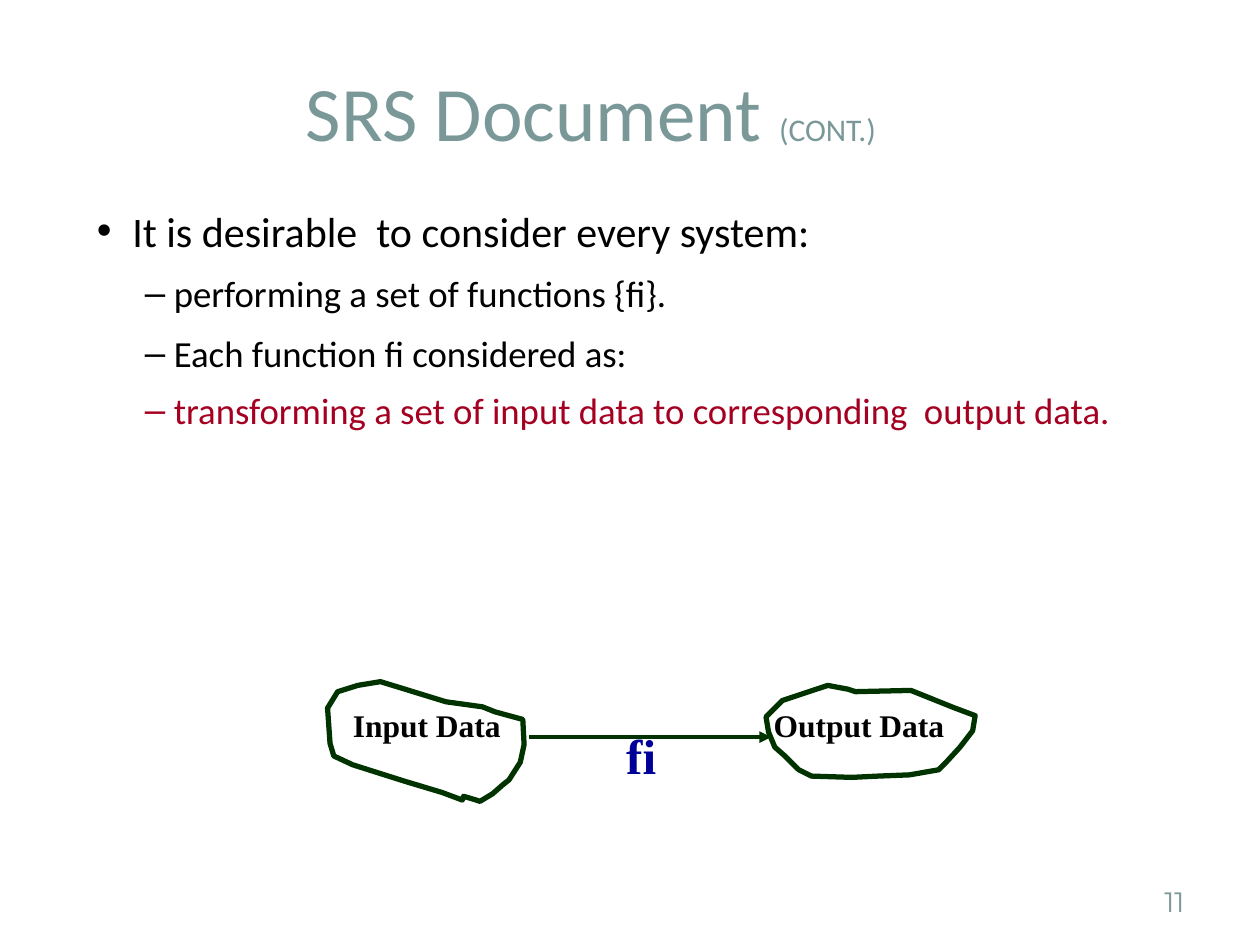
import pptx
import pptx.util
import pptx.dml.color
import pptx.enum.shapes
import pptx.enum.text
import pptx.oxml
import pptx.oxml.ns
import lxml.etree

Inches = pptx.util.Inches
Pt = pptx.util.Pt
ALIGN = pptx.enum.text.PP_ALIGN
ANCHOR = pptx.enum.text.MSO_ANCHOR
qn = pptx.oxml.ns.qn

TEAL, BLACK, RED, GREEN, BLUE = "7B9899", "000000", "A50021", "003300", "000099"

INPUT_OUTLINE = [
    (4.15, 5.71), (3.93, 5.65), (3.83, 5.61), (3.54, 5.57), (3.28, 5.49),
    (3.02, 5.41), (2.84, 5.44), (2.68, 5.49), (2.6, 5.62), (2.62, 5.9),
    (2.65, 6), (2.8, 6.07), (3.21, 6.2), (3.51, 6.29), (3.67, 6.35),
    (3.68, 6.32), (3.78, 6.35), (3.81, 6.36), (3.91, 6.3), (3.99, 6.23),
    (4.04, 6.19), (4.13, 6.05), (4.16, 5.91),
]
OUTPUT_OUTLINE = [
    (6.08, 5.69), (6.16, 5.61), (6.21, 5.56), (6.3, 5.53), (6.57, 5.44),
    (6.73, 5.47), (6.79, 5.49), (7.23, 5.48), (7.58, 5.62), (7.74, 5.68),
    (7.72, 5.8), (7.62, 5.93), (7.51, 6.05), (7.45, 6.11), (7.22, 6.15),
    (6.97, 6.16), (6.76, 6.17), (6.44, 6.16), (6.34, 6.11), (6.23, 6),
    (6.15, 5.93), (6.1, 5.81),
]


def color(value):
    return pptx.dml.color.RGBColor.from_string(value)


class SlideBuilder:
    def __init__(self, page):
        self.page = page

    def style(self, font, name, size, hue, bold=False):
        font.name, font.size, font.bold = name, Pt(size), bold
        font.color.rgb = color(hue)

    def frame(self, shape, side=0.02, anchor=ANCHOR.TOP):
        frame = shape.text_frame
        frame.word_wrap = True
        frame.auto_size = pptx.enum.text.MSO_AUTO_SIZE.NONE
        frame.vertical_anchor = anchor
        frame.margin_left = frame.margin_right = Inches(side)
        frame.margin_top = frame.margin_bottom = Inches(0.05)
        return frame

    def title(self, main, suffix, left, top, width, height):
        shape = self.page.shapes.title
        shape.left, shape.top = Inches(left), Inches(top)
        shape.width, shape.height = Inches(width), Inches(height)
        para = self.frame(shape, anchor=ANCHOR.MIDDLE).paragraphs[0]
        para.alignment, para.space_before = ALIGN.CENTER, Pt(10)
        for text, size in ((main, 44), (suffix, 18)):
            span = para.add_run()
            span.text = text
            self.style(span.font, "Calibri", size, TEAL)

    def box(self, left, top, width, height, **options):
        shape = self.page.shapes.add_textbox(
            Inches(left), Inches(top), Inches(width), Inches(height))
        return self.frame(shape, **options)

    def bullets(self, items, *place):
        frame = self.box(*place)
        for index, (text, level, before, hue) in enumerate(items):
            para = frame.paragraphs[0] if index == 0 else frame.add_paragraph()
            para.text, para.level = text, level
            mark, margin, hang, size = (("•", 0.28, 0.28, 24), ("–", 0.61, 0.23, 21))[level]
            properties = para._p.get_or_add_pPr()
            properties.set("marL", str(Inches(margin)))
            properties.set("indent", str(-Inches(hang)))
            bullet_color = lxml.etree.SubElement(properties, qn("a:buClr"))
            lxml.etree.SubElement(bullet_color, qn("a:srgbClr"), val=hue)
            lxml.etree.SubElement(properties, qn("a:buFont"), typeface="Arial")
            lxml.etree.SubElement(properties, qn("a:buChar"), char=mark)
            para.space_before = Pt(before)
            self.style(para.font, "Calibri", size, hue)

    def label(self, text, size, hue, before, *place):
        para = self.box(*place).paragraphs[0]
        para.text = text
        para.line_spacing, para.space_before = 0.85, Pt(before)
        self.style(para.font, "Times New Roman", size, hue, bold=True)

    def page_number(self, text, *place):
        para = self.box(*place, side=0.1, anchor=ANCHOR.MIDDLE).paragraphs[0]
        para.text, para.alignment = text, ALIGN.RIGHT
        self.style(para.font, "Montserrat", 16, TEAL)

    def stroke(self, shape, width):
        shape.line.color.rgb = color(GREEN)
        shape.line.width = Pt(width)

    def arrow(self, start_x, start_y, end_x, end_y):
        line = self.page.shapes.add_connector(
            pptx.enum.shapes.MSO_CONNECTOR.STRAIGHT,
            Inches(start_x), Inches(start_y), Inches(end_x), Inches(end_y))
        self.stroke(line, 2.25)
        properties = line._element.spPr
        lxml.etree.SubElement(properties.find(qn("a:ln")), qn("a:tailEnd"), type="triangle")
        lxml.etree.SubElement(properties, qn("a:effectLst"))

    def outline(self, points):
        corners = [(Inches(x), Inches(y)) for x, y in points]
        builder = self.page.shapes.build_freeform(*corners[0])
        builder.add_line_segments(corners[1:], close=True)
        shape = builder.convert_to_shape()
        shape.shadow.inherit = False
        shape.fill.background()
        self.stroke(shape, 3)
        line = shape._element.spPr.find(qn("a:ln"))
        lxml.etree.SubElement(line, qn("a:round"))


def main():
    deck = pptx.Presentation()
    deck.slide_width, deck.slide_height = Inches(10), Inches(7.5)
    slide = SlideBuilder(deck.slides.add_slide(deck.slide_layouts[5]))

    # Heading, bullets and page number
    slide.title("SRS Document ", "(CONT.)", 0.44, 0.25, 8.5, 1.25)
    slide.bullets([
        ("It is desirable  to consider every system:", 0, 10, BLACK),
        ("performing a set of functions {fi}.", 1, 8.9, BLACK),
        ("Each function fi considered as:", 1, 8.9, BLACK),
        ("transforming a set of input data to corresponding  output data.", 1, 7.3, RED),
    ], 0.75, 1.58, 8.5, 4.5)
    slide.page_number("11", 7.17, 6.95, 2.33, 0.4)

    # Data flow: input, function, output
    for text, left in (("Input Data", 2.78), ("Output Data", 6.12)):
        slide.label(text, 18, BLACK, 10.4, left, 5.6, 1.66, 0.4)
    slide.arrow(4.2, 5.85, 6.12, 5.85)
    slide.label("fi", 28, BLUE, 19.1, 4.95, 5.78, 1.25, 0.64)
    for points in (INPUT_OUTLINE, OUTPUT_OUTLINE):
        slide.outline(points)

    deck.save("out.pptx")


if __name__ == "__main__":
    main()
